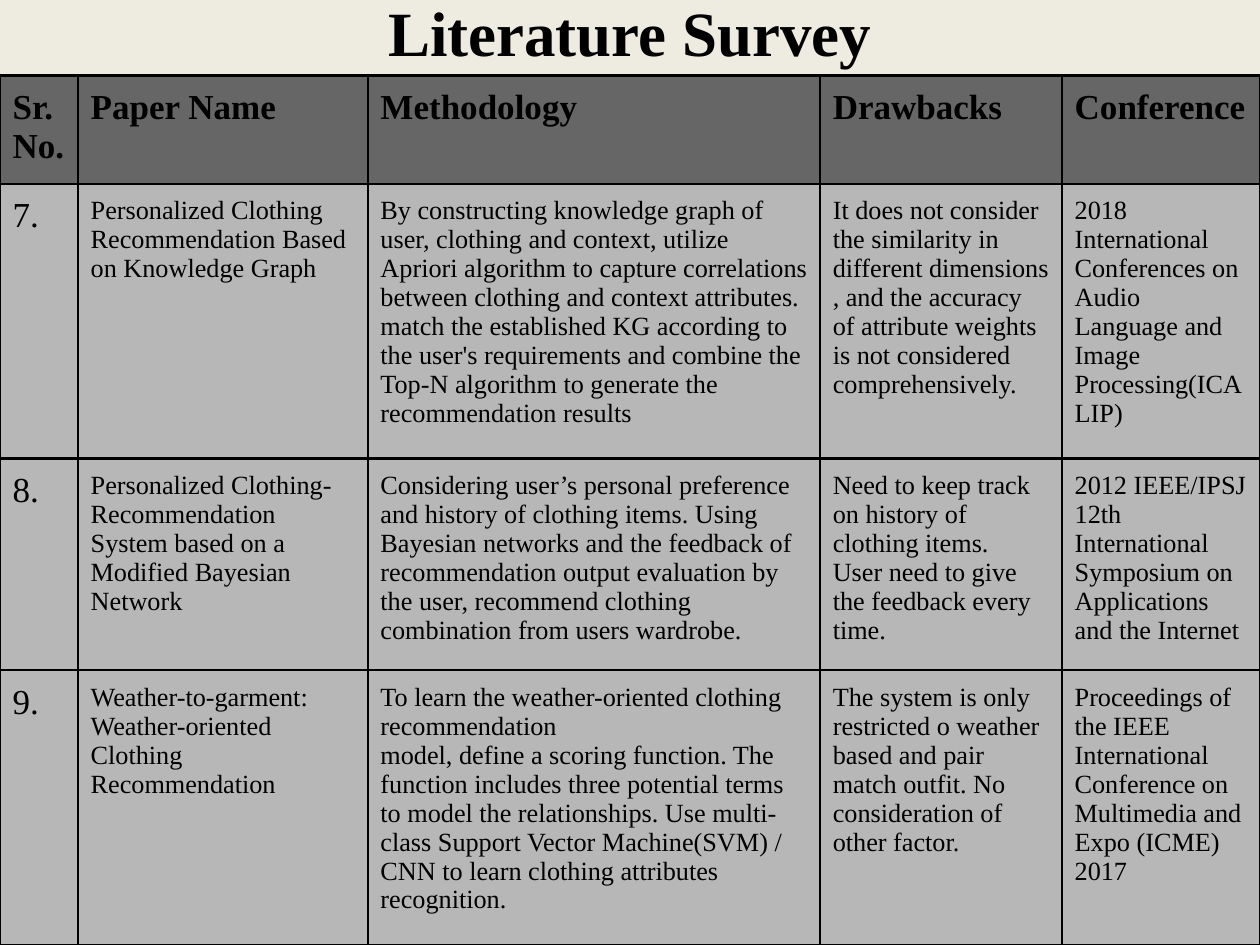
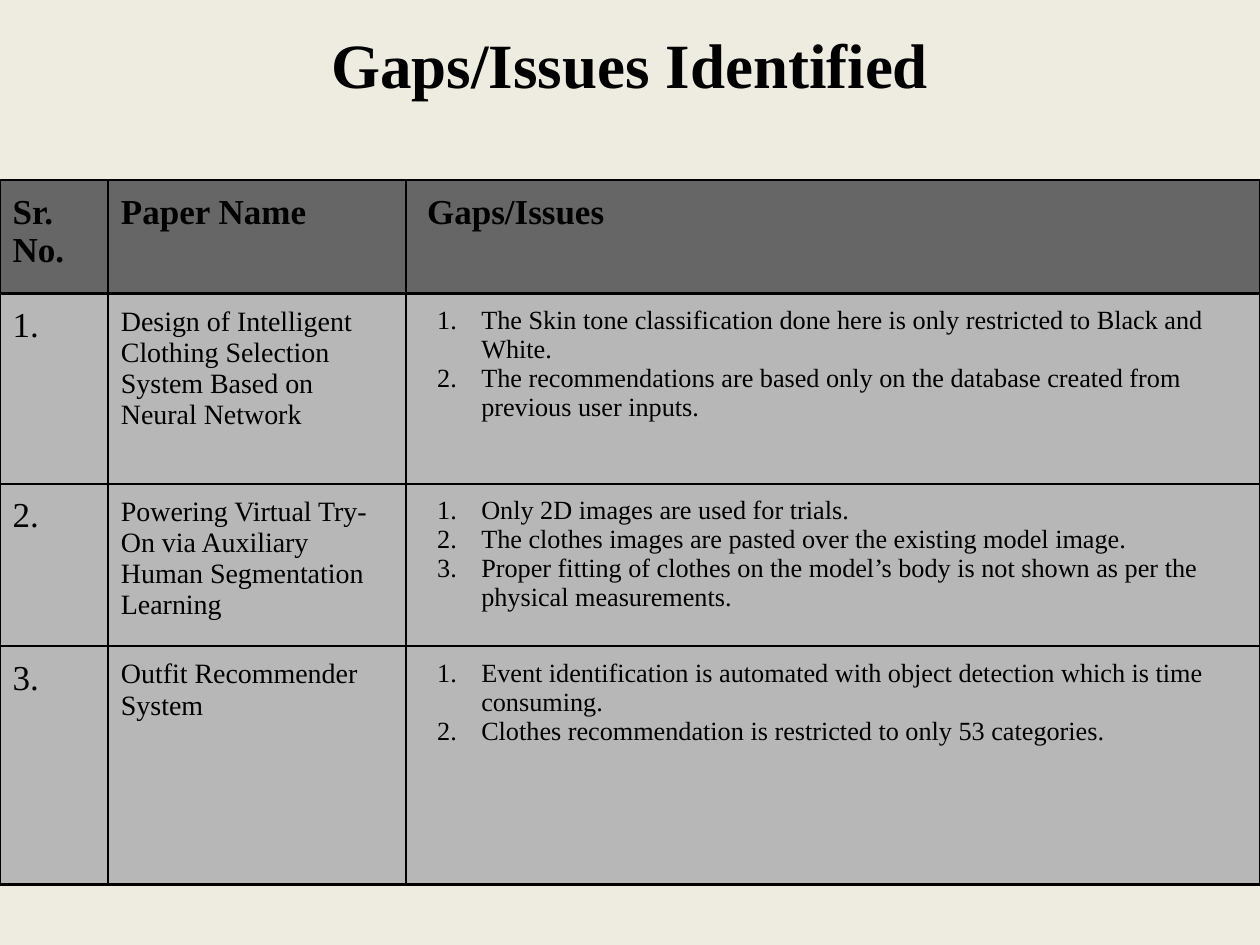
"""Build two survey slides: a literature table and the gaps found in earlier papers."""
from lxml import etree
from pptx import Presentation
from pptx import util as u
from pptx.dml.color import RGBColor
from pptx.enum import text
from pptx.oxml.ns import qn

BLACK = RGBColor(0x00, 0x00, 0x00)
CREAM = RGBColor(0xEE, 0xEC, 0xE1)
HEADER_GREY = RGBColor(0x66, 0x66, 0x66)
BODY_GREY = RGBColor(0xB7, 0xB7, 0xB7)
FONT = "Times New Roman"
WIDTH, HEIGHT = 10, 7.5
TITLE_SIZE, HEADER_SIZE, TEXT_SIZE = 36, 20, 15
BORDER, INSET = 1.5, 0.1
LIST_INDENT, LIST_HANG = 0.5, -0.35

SURVEY = [
    (["Sr. No."], ["Paper Name"], ["Methodology"], ["Drawbacks"], ["Conference"]),
    (["7."],
     ["Personalized Clothing Recommendation Based on Knowledge Graph"],
     ["By constructing knowledge graph of user, clothing and context, utilize Apriori "
      "algorithm to capture correlations between clothing and context attributes. match "
      "the established KG according to the user's requirements and combine the Top-N "
      "algorithm to generate the recommendation results"],
     ["It does not consider the similarity in different dimensions , and the accuracy",
      "of attribute weights is not considered",
      "comprehensively."],
     ["2018 International Conferences on Audio Language and Image Processing(ICALIP)"]),
    (["8."],
     ["Personalized Clothing-Recommendation System based on a Modified Bayesian Network"],
     ["Considering user’s personal preference and history of clothing items. Using "
      "Bayesian networks and the feedback of recommendation output evaluation by the "
      "user, recommend clothing combination from users wardrobe."],
     ["Need to keep track on history of clothing items.",
      "User need to give the feedback every time."],
     ["2012 IEEE/IPSJ 12th International Symposium on Applications and the Internet"]),
    (["9."],
     ["Weather-to-garment: Weather-oriented Clothing Recommendation"],
     ["To learn the weather-oriented clothing recommendation",
      "model, define a scoring function. The function includes three potential terms to "
      "model the relationships. Use multi-class Support Vector Machine(SVM) / CNN to "
      "learn clothing attributes recognition."],
     ["The system is only restricted o weather based and pair match outfit. "
      "No consideration of other factor."],
     ["Proceedings of the IEEE International Conference on Multimedia and Expo "
      "(ICME) 2017"]),
]
GAPS = [
    (["Sr. No."], ["Paper Name"], ["Gaps/Issues"]),
    (["1."],
     ["Design of Intelligent Clothing Selection System Based on Neural Network"],
     ["The Skin tone classification done here is only restricted to Black and White.",
      "The recommendations are based only on the database created from previous user "
      "inputs."]),
    (["2."],
     ["Powering Virtual Try-On via Auxiliary Human Segmentation Learning"],
     ["Only 2D images are used for trials.",
      "The clothes images are pasted over the existing model image.",
      "Proper fitting of clothes on the model’s body is not shown as per the physical "
      "measurements."]),
    (["3."],
     ["Outfit Recommender System"],
     ["Event identification is automated with object detection which is time consuming.",
      "Clothes recommendation is restricted to only 53 categories."]),
]
SLIDES = [
    dict(title="Literature Survey", title_top=-0.37, table_top=0.6, rows=SURVEY,
         widths=[0.62, 2.3, 3.59, 1.92, 1.57], heights=[0.86, 2.18, 1.68, 2.18],
         name_size=15, list_column=None),
    dict(title="Gaps/Issues Identified", title_top=-0.12, table_top=1.43, rows=GAPS,
         widths=[0.86, 2.36, 6.78], heights=[0.9, 1.51, 1.29, 1.89],
         name_size=16, list_column=2),
]


def apply(target, **values):
    for name, value in values.items():
        setattr(target, name, value)


def add_span(para, words, size, bold):
    span = para.add_run()
    span.text = words
    apply(span.font, name=FONT, size=u.Pt(size), bold=bold)
    span.font.color.rgb = BLACK


def add_title(page, words, top):
    box = page.shapes.title
    apply(box, left=u.Inches(0.5), top=u.Inches(top),
          width=u.Inches(WIDTH - 1), height=u.Inches(1.24))
    apply(box.text_frame, auto_size=text.MSO_AUTO_SIZE.NONE, word_wrap=True,
          vertical_anchor=text.MSO_ANCHOR.MIDDLE)
    para = box.text_frame.paragraphs[0]
    para.alignment = text.PP_ALIGN.CENTER
    add_span(para, words, TITLE_SIZE, True)


def number_item(para):
    props = para._p.get_or_add_pPr()
    props.set("marL", str(u.Inches(LIST_INDENT)))
    props.set("indent", str(u.Inches(LIST_HANG)))
    color = etree.SubElement(props, qn("a:buClr"))
    etree.SubElement(color, qn("a:srgbClr"), val=str(BLACK))
    etree.SubElement(props, qn("a:buFont"), typeface=FONT)
    etree.SubElement(props, qn("a:buAutoNum"), type="arabicPeriod")


def draw_borders(cell):
    props = cell._tc.get_or_add_tcPr()
    for index, side in enumerate("LRTB"):
        line = etree.Element(qn(f"a:ln{side}"), w=str(u.Pt(BORDER)))
        fill = etree.SubElement(line, qn("a:solidFill"))
        etree.SubElement(fill, qn("a:srgbClr"), val=str(BLACK))
        props.insert(index, line)


def fill_cell(cell, lines, size, header, listed):
    inset = u.Inches(INSET)
    apply(cell, margin_left=inset, margin_right=inset, margin_top=inset,
          margin_bottom=inset, vertical_anchor=text.MSO_ANCHOR.TOP)
    if header and listed:
        cell.margin_left = u.Inches(INSET + 0.07)
    cell.fill.solid()
    cell.fill.fore_color.rgb = HEADER_GREY if header else BODY_GREY
    draw_borders(cell)
    for index, words in enumerate(lines):
        frame = cell.text_frame
        para = frame.add_paragraph() if index else frame.paragraphs[0]
        if listed and not header:
            number_item(para)
        add_span(para, words, size, header)


def add_grid(page, top, rows, widths, heights, name_size, list_column):
    grid = page.shapes.add_table(len(rows), len(widths), 0, u.Inches(top),
                                 u.Inches(sum(widths)), u.Inches(sum(heights))).table
    for column, width in zip(grid.columns, widths):
        column.width = u.Inches(width)
    for row, height in zip(grid.rows, heights):
        row.height = u.Inches(height)
    body_sizes = [HEADER_SIZE, name_size] + [TEXT_SIZE] * (len(widths) - 2)
    for r, row in enumerate(rows):
        for c, lines in enumerate(row):
            size = body_sizes[c] if r else HEADER_SIZE
            fill_cell(grid.cell(r, c), lines, size, r == 0, c == list_column)


def main():
    deck = Presentation()
    apply(deck, slide_width=u.Inches(WIDTH), slide_height=u.Inches(HEIGHT))
    backdrop = deck.slide_master.background.fill
    backdrop.solid()
    backdrop.fore_color.rgb = CREAM
    for plan in SLIDES:
        page = deck.slides.add_slide(deck.slide_layouts[5])
        add_title(page, plan["title"], plan["title_top"])
        add_grid(page, plan["table_top"], plan["rows"], plan["widths"], plan["heights"],
                 plan["name_size"], plan["list_column"])
    deck.save("out.pptx")


if __name__ == "__main__":
    main()
